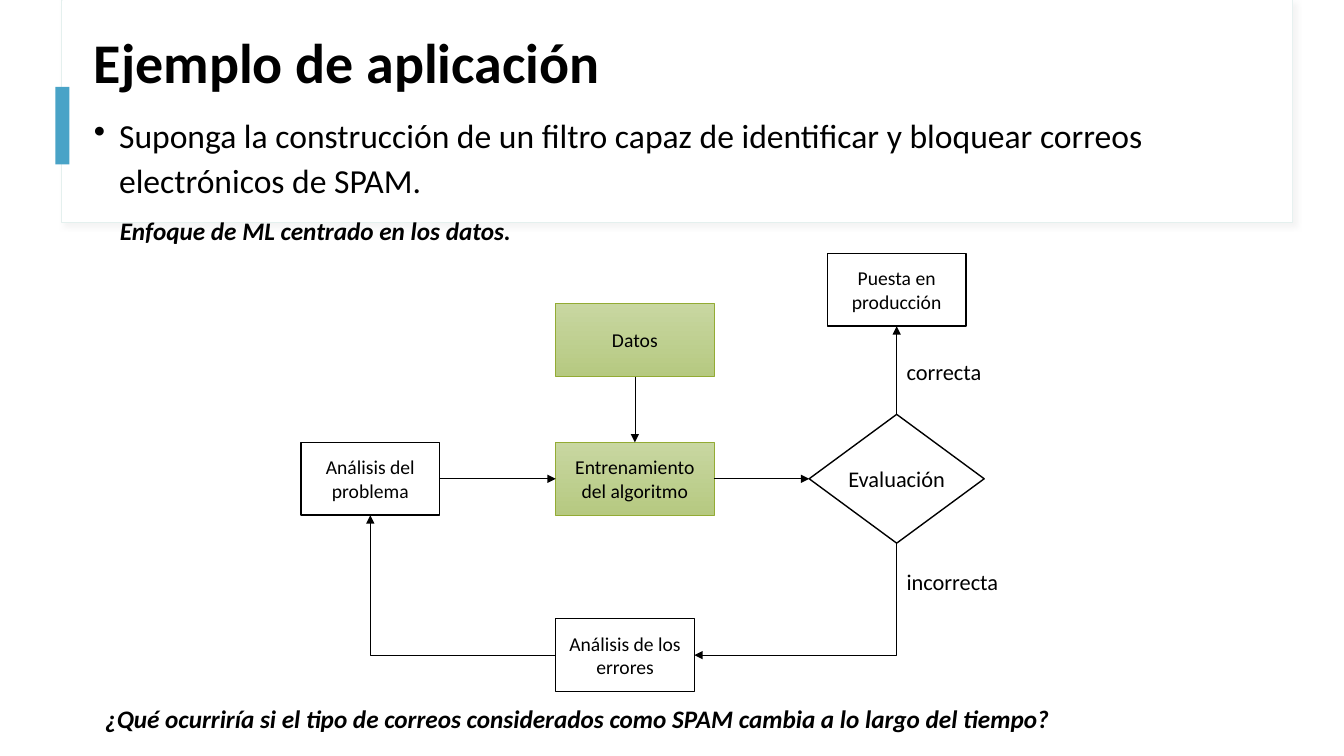
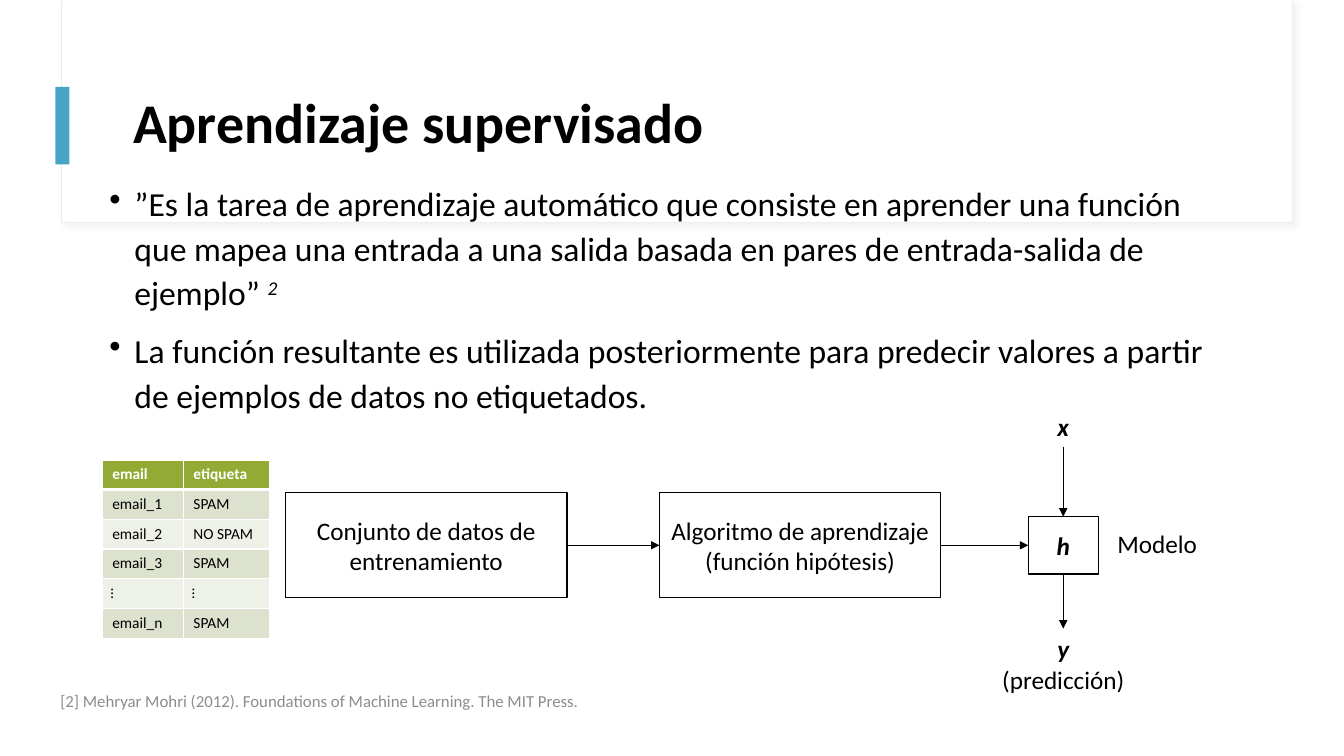
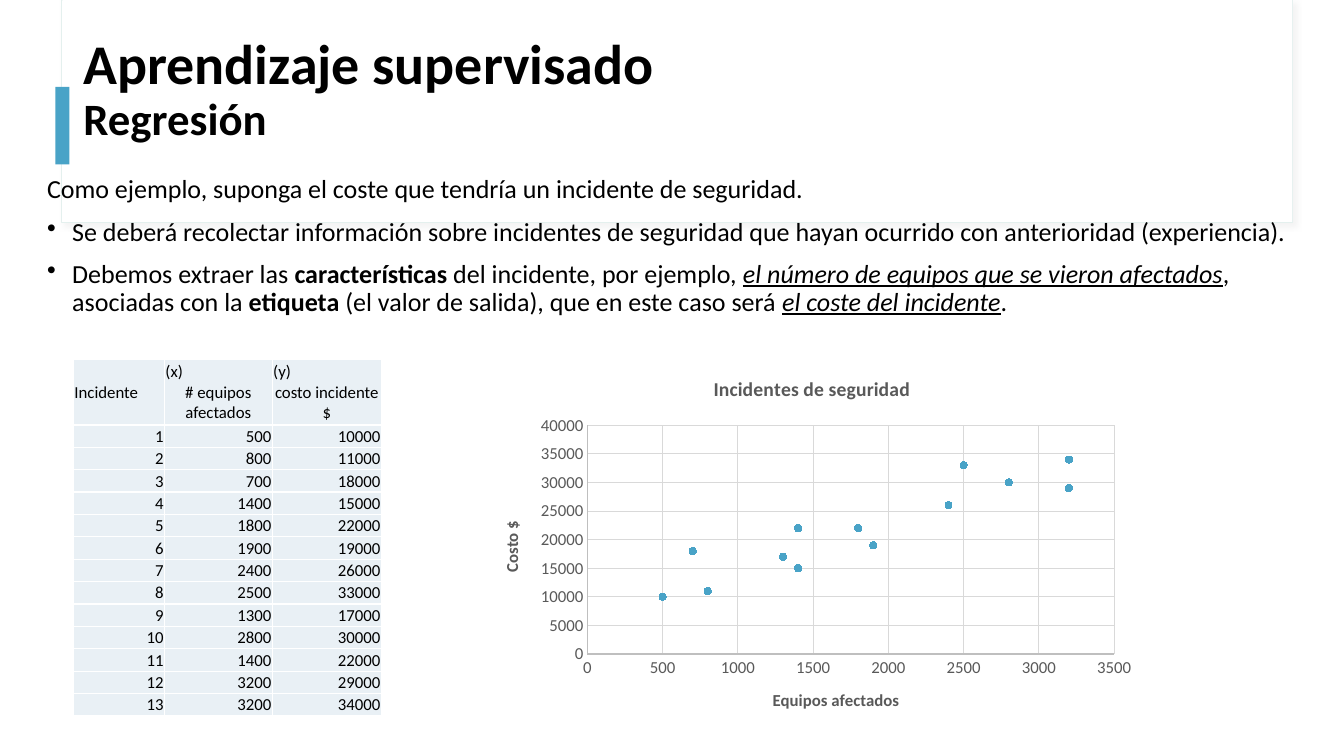
import pptx
import pptx.chart.data
import pptx.dml.color
import pptx.enum.chart
import pptx.enum.shapes
import pptx.enum.text
import pptx.oxml
import pptx.oxml.ns
import pptx.util
from lxml import etree

Pt = pptx.util.Pt
Shape = pptx.enum.shapes.MSO_SHAPE
Link = pptx.enum.shapes.MSO_CONNECTOR
Anchor = pptx.enum.text.MSO_ANCHOR
Align = pptx.enum.text.PP_ALIGN
qn = pptx.oxml.ns.qn

TOP, LEFT, BOTTOM, RIGHT = range(4)

HUES = {
    "ink": "000000",
    "white": "FFFFFF",
    "edge": "E4F0EE",
    "shade": "D9D9D9",
    "blue": "49A3C7",
    "green": "93AB34",
    "light": "C8D7A1",
    "deep": "B6C981",
    "note": "8C8C8C",
    "odd": "DCE2CE",
    "even": "EEF1E8",
    "pale": "E9F0F5",
    "gray": "595959",
    "axis": "BFBFBF",
}

CASES = [
    (500, 10000), (800, 11000), (700, 18000), (1400, 15000),
    (1800, 22000), (1900, 19000), (2400, 26000), (2500, 33000),
    (1300, 17000), (2800, 30000), (1400, 22000), (3200, 29000),
    (3200, 34000),
]


class Deck:
    font = "Calibri"

    def __init__(self):
        self.file = pptx.Presentation()
        self.file.slide_width = Pt(960)
        self.file.slide_height = Pt(540)
        self.slide = None

    def hue(self, name):
        return pptx.dml.color.RGBColor.from_string(HUES[name])

    def open(self, title, box):
        self.slide = self.file.slides.add_slide(self.file.slide_layouts[6])
        frame = self.shape((44, 0, 879, 159), line="edge", width=0.75)
        self.shadow(frame)
        self.shape((44.5, 0, 878.5, 158.5), line=None)
        self.shape((39.5, 62, 10, 55.5), fill="blue", line=None)
        self.text(box, [title], size=40, flags="b", lead=0.9, anchor=Anchor.MIDDLE)

    def shadow(self, shape):
        props = shape._element.spPr
        old = props.find(qn("a:effectLst"))
        if old is not None:
            props.remove(old)
        props.append(pptx.oxml.parse_xml(
            f'<a:effectLst {pptx.oxml.ns.nsdecls("a")}>'
            f'<a:outerShdw blurRad="{Pt(4)}" dist="{Pt(3)}" dir="2700000">'
            f'<a:srgbClr val="{HUES["shade"]}"><a:alpha val="30000"/></a:srgbClr>'
            '</a:outerShdw></a:effectLst>'))

    def style(self, font, size, color, flags=""):
        font.name = self.font
        font.size = Pt(size)
        font.color.rgb = self.hue(color)
        font.bold = "b" in flags
        font.italic = "i" in flags
        font.underline = "u" in flags

    def runs(self, para, parts, size, color="ink", flags=""):
        for part in [parts] if isinstance(parts, str) else parts:
            words, marks, points = (part, flags, size) if isinstance(part, str) else part
            if words == "\n":
                para.add_line_break()
                continue
            run = para.add_run()
            run.text = words
            self.style(run.font, points or size, color, marks)
            if "^" in marks:
                run._r.get_or_add_rPr().set("baseline", "30000")

    def fill(self, frame, paras, size, color="ink", flags="", align=None, lead=None,
             gap=0, dots=None):
        for n, parts in enumerate(paras):
            para = frame.paragraphs[0] if n == 0 else frame.add_paragraph()
            if dots is not None and n >= dots:
                props = para._p.get_or_add_pPr()
                props.set("marL", str(Pt(18)))
                props.set("indent", str(-Pt(18)))
                etree.SubElement(props, qn("a:buChar")).set("char", "•")
            para.alignment = align
            if lead:
                para.line_spacing = lead
            if n and gap:
                para.space_before = Pt(gap)
            self.runs(para, parts, size, color, flags)

    def text(self, box, paras, size=18, anchor=Anchor.TOP, **look):
        item = self.slide.shapes.add_textbox(*map(Pt, box))
        item.text_frame.word_wrap = True
        item.text_frame.vertical_anchor = anchor
        self.fill(item.text_frame, paras, size, **look)
        return item

    def shape(self, box, words=None, kind=Shape.RECTANGLE, fill="white", line="ink",
              width=1, size=18, flags="", wrap=True):
        item = self.slide.shapes.add_shape(kind, *map(Pt, box))
        item.shadow.inherit = False
        if isinstance(fill, tuple):
            item.fill.gradient()
            item.fill.gradient_angle = 270
            for stop, name in zip(item.fill.gradient_stops, fill):
                stop.color.rgb = self.hue(name)
        else:
            item.fill.solid()
            item.fill.fore_color.rgb = self.hue(fill)
        if line:
            item.line.color.rgb = self.hue(line)
            item.line.width = Pt(width)
        else:
            item.line.fill.background()
        if words:
            item.text_frame.word_wrap = wrap
            item.text_frame.vertical_anchor = Anchor.MIDDLE
            self.fill(item.text_frame, [words], size, flags=flags, align=Align.CENTER)
        return item

    def arrow(self, start, out, end, into, kind=Link.STRAIGHT):
        item = self.slide.shapes.add_connector(kind, 0, 0, 0, 0)
        item.begin_connect(start, out)
        item.end_connect(end, into)
        item.line.color.rgb = self.hue("ink")
        item.line.width = Pt(0.5)
        props = item._element.spPr
        etree.SubElement(props.find(qn("a:ln")), qn("a:tailEnd")).set("type", "triangle")
        etree.SubElement(props, qn("a:effectLst"))
        return item

    def bend(self, start, out, end, into, turn):
        item = self.arrow(start, out, end, into, Link.ELBOW)
        wide = abs(item.end_x - item.begin_x)
        high = abs(item.end_y - item.begin_y)
        midx = (item.begin_x + item.end_x) // 2
        midy = (item.begin_y + item.end_y) // 2
        if turn == 90:
            wide, high = high, wide
        props = item._element.spPr
        props.find(qn("a:prstGeom")).set("prst", "bentConnector2")
        form = props.find(qn("a:xfrm"))
        for flip in ("flipH", "flipV"):
            form.attrib.pop(flip, None)
        form.set("rot", str(turn * 60000))
        item.left, item.top = midx - wide // 2, midy - high // 2
        item.width, item.height = wide, high

    def table(self, spot, cols, rows):
        grid = self.slide.shapes.add_table(
            len(rows), len(cols), *map(Pt, spot), Pt(sum(cols)), Pt(sum(rows))).table
        grid.first_row = grid.horz_banding = False
        for col, wide in zip(grid.columns, cols):
            col.width = Pt(wide)
        for row, high in zip(grid.rows, rows):
            row.height = Pt(high)
        return grid

    def cell(self, cell, fill, base=1):
        props = cell._tc.get_or_add_tcPr()
        for side, width in zip("LRTB", (1, 1, 1, base)):
            line = etree.SubElement(props, qn(f"a:ln{side}"), w=str(Pt(width)))
            solid = etree.SubElement(line, qn("a:solidFill"))
            etree.SubElement(solid, qn("a:srgbClr")).set("val", HUES["white"])
        cell.fill.solid()
        cell.fill.fore_color.rgb = self.hue(fill)

    def axis(self, axis, title, top, step):
        axis.minimum_scale, axis.maximum_scale, axis.major_unit = 0, top, step
        axis.major_tick_mark = axis.minor_tick_mark = pptx.enum.chart.XL_TICK_MARK.NONE
        axis.has_major_gridlines = True
        grid = axis.major_gridlines.format.line
        for line, name in ((grid, "shade"), (axis.format.line, "axis")):
            line.color.rgb = self.hue(name)
            line.width = Pt(0.75)
        self.style(axis.tick_labels.font, 12, "gray")
        self.fill(axis.axis_title.text_frame, [title], 12, "gray", "b")

    def chart(self, box, title, pairs):
        data = pptx.chart.data.XyChartData()
        dots = data.add_series("Series 1")
        for x, y in pairs:
            dots.add_data_point(x, y)
        chart = self.slide.shapes.add_chart(
            pptx.enum.chart.XL_CHART_TYPE.XY_SCATTER, *map(Pt, box), data).chart
        self.style(chart.font, 12, "ink")
        chart.has_legend = False
        chart.has_title = True
        self.fill(chart.chart_title.text_frame, [title], 14, "gray", "b")
        chart.plots[0].vary_by_categories = False
        line = chart.plots[0].series[0]
        line.smooth = False
        line.format.line.fill.background()
        mark = line.marker
        mark.style = pptx.enum.chart.XL_MARKER_STYLE.CIRCLE
        mark.size = 5
        mark.format.fill.solid()
        mark.format.fill.fore_color.rgb = self.hue("blue")
        mark.format.line.color.rgb = self.hue("blue")
        return chart


def flow(deck):
    deck.open("Ejemplo de aplicación", (60, 18, 800, 57.5))
    deck.text((60, 76, 800, 86), [
        "Suponga la construcción de un filtro capaz de identificar y bloquear "
        "correos electrónicos de SPAM."], size=24, lead=1.1, dots=0)
    deck.text((78.5, 150.5, 359, 29), ["Enfoque de ML centrado en los datos."], flags="bi")

    def step(x, y, words, wide=99, **look):
        return deck.shape((x, y, wide, 52), words, size=14, **look)

    green = {"wide": 113, "fill": ("light", "deep"), "line": "green", "width": 0.5}
    study = step(215, 316, "Análisis del problema")
    train = step(397, 316, "Entrenamiento del algoritmo", **green)
    fault = step(397, 442, "Análisis de los errores")
    live = step(591, 181, "Puesta en producción")
    data = step(397, 217, "Datos", **green)
    test = deck.shape((578, 296, 125, 92), "Evaluación", Shape.DIAMOND, size=16, wrap=False)
    deck.arrow(study, RIGHT, train, LEFT)
    deck.arrow(train, RIGHT, test, LEFT)
    deck.arrow(test, TOP, live, BOTTOM)
    deck.arrow(data, BOTTOM, train, TOP)
    deck.bend(test, BOTTOM, fault, RIGHT, 90)
    deck.bend(fault, LEFT, study, BOTTOM, 180)
    for y, words in ((252, "correcta"), (402.5, "incorrecta")):
        deck.text((640.5, y, 105, 27), [words], size=16)
    deck.text((68, 499, 855, 29), [
        "¿Qué ocurriría si el tipo de correos considerados como SPAM cambia "
        "a lo largo del tiempo?"], flags="bi")


def model(deck):
    deck.open("Aprendizaje supervisado", (88, 43, 800, 93))
    deck.text((71, 124.5, 800, 181.5), [
        ["”Es la tarea de aprendizaje automático que consiste en aprender una función "
         "que mapea una entrada a una salida basada en pares de entrada-salida de "
         "ejemplo” ", ("2", "i^", None)],
        "La función resultante es utilizada posteriormente para predecir valores a "
        "partir de ejemplos de datos no etiquetados."],
        size=24, lead=1.1, gap=10, dots=0)
    deck.text((36, 486, 843, 29), [
        "[2] Mehryar Mohri (2012). Foundations of Machine Learning. The MIT Press."],
        size=12, color="note", anchor=Anchor.MIDDLE)
    entry = deck.text((740, 290, 39, 29), ["x"], flags="bi", align=Align.CENTER)
    base = deck.shape((204, 352, 201, 75), "Conjunto de datos de entrenamiento")
    learn = deck.shape((471, 352, 201, 75), "Algoritmo de aprendizaje (función hipótesis)")
    guess = deck.shape((734.5, 369, 50, 41), "h", flags="bi")
    deck.text((791, 374, 81, 29), ["Modelo"])
    exit = deck.text((681, 449, 157, 51), [[("y", "bi", None)], "(predicción)"],
                     align=Align.CENTER)
    deck.arrow(base, RIGHT, learn, LEFT)
    deck.arrow(learn, RIGHT, guess, LEFT)
    deck.arrow(entry, BOTTOM, guess, TOP)
    deck.arrow(guess, BOTTOM, exit, TOP)

    rows = [("email", "etiqueta"), ("email_1", "SPAM"), ("email_2", "NO SPAM"),
            ("email_3", "SPAM"), ("…", "…"), ("email_n", "SPAM")]
    grid = deck.table((73, 328.5), (58, 61.5), [21.25] * len(rows))
    for r, row in enumerate(rows):
        for c, words in enumerate(row):
            cell = grid.cell(r, c)
            if r == 0:
                deck.cell(cell, "green", 3)
                deck.fill(cell.text_frame, [words], 11, "white", "b")
            else:
                deck.cell(cell, "odd" if r % 2 else "even")
                deck.fill(cell.text_frame, [words], 11)
            if words == "…":
                cell.vertical_anchor = Anchor.MIDDLE
                cell._tc.get_or_add_tcPr().set("vert", "vert")


def cost(deck):
    deck.open(["Aprendizaje supervisado", "\n", ("Regresión", "b", 32)],
              (52.5, 18.5, 800, 93))
    deck.text((26.5, 122.5, 924, 147.5), [
        "Como ejemplo, suponga el coste que tendría un incidente de seguridad.",
        "Se deberá recolectar información sobre incidentes de seguridad que hayan "
        "ocurrido con anterioridad (experiencia).",
        ["Debemos extraer las ", ("características", "b", None),
         " del incidente, por ejemplo, ",
         ("el número de equipos que se vieron afectados", "iu", None),
         ", asociadas con la ", ("etiqueta", "b", None),
         " (el valor de salida), que en este caso será ",
         ("el coste del incidente", "iu", None), "."]],
        size=18.6, lead=0.9, gap=10, dots=1)

    heads = [["Incidente"], ["(x)", "# equipos afectados"], ["(y)", "costo incidente $"]]
    rows = [heads] + [[[str(v)] for v in (n, *pair)] for n, pair in enumerate(CASES, 1)]
    grid = deck.table((52.5, 256.5), (65, 77, 78), [47] + [16] * len(CASES))
    for r, row in enumerate(rows):
        for c, paras in enumerate(row):
            cell = grid.cell(r, c)
            cell.margin_left = cell.margin_right = cell.margin_top = Pt(0.7)
            cell.margin_bottom = 0
            cell.vertical_anchor = Anchor.MIDDLE
            deck.cell(cell, "pale")
            deck.fill(cell.text_frame, paras, 12, align=Align.RIGHT if r else Align.CENTER)
            if r == 0:
                cell.text_frame.paragraphs[0].alignment = Align.LEFT

    chart = deck.chart((342.5, 256.5, 475, 266.5), "Incidentes de seguridad", CASES)
    deck.axis(chart.category_axis, "Equipos afectados", 3500, 500)
    deck.axis(chart.value_axis, "Costo $", 40000, 5000)
    turn = chart.value_axis.axis_title.text_frame._txBody.find(qn("a:bodyPr"))
    turn.set("rot", "-5400000")
    turn.set("vert", "horz")


def main():
    deck = Deck()
    for draw in (flow, model, cost):
        draw(deck)
    deck.file.save("out.pptx")


if __name__ == "__main__":
    main()
